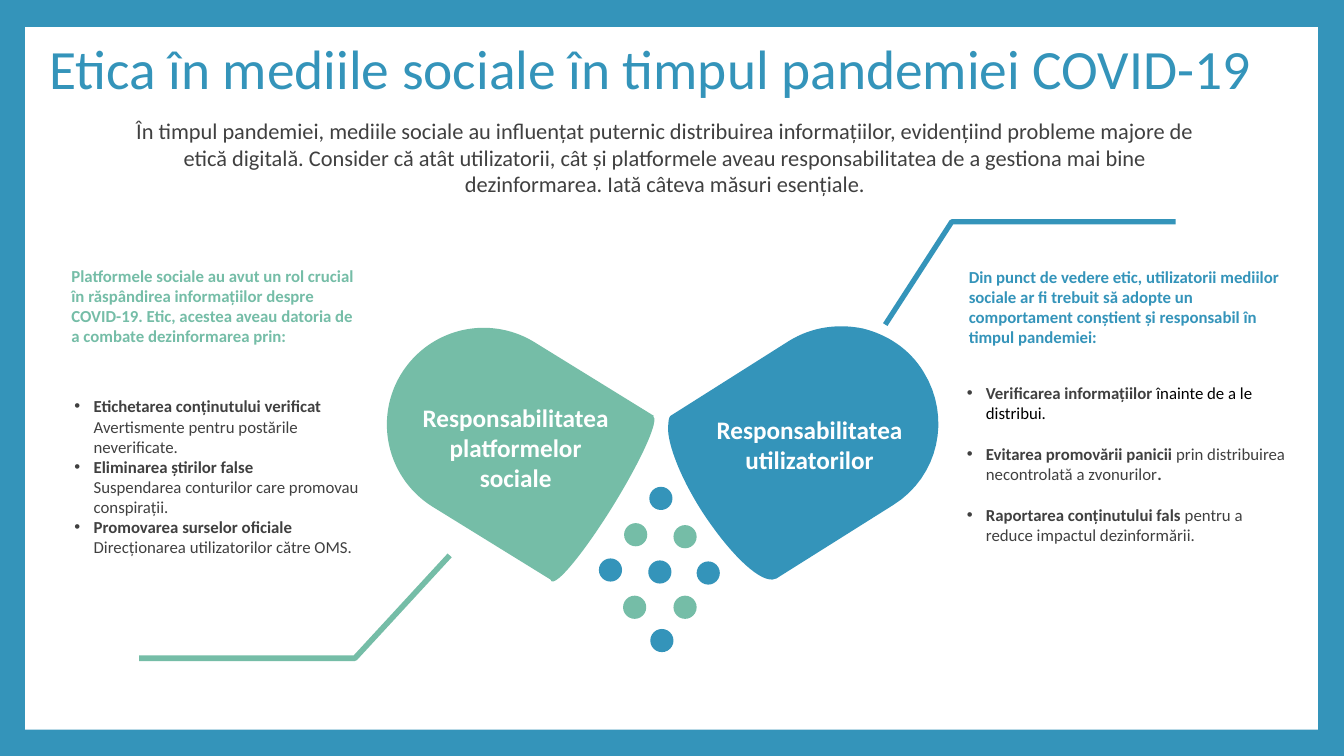
"""Build the slide on ethics in social media during the COVID-19 pandemic."""
from dataclasses import dataclass

from lxml.etree import SubElement
from pptx import Presentation
from pptx.dml.color import RGBColor
from pptx.enum.shapes import MSO_SHAPE as Shape
from pptx.enum.text import MSO_ANCHOR as Anchor, PP_ALIGN as Align
from pptx.oxml.ns import qn
from pptx.util import Inches, Pt


@dataclass(frozen=True)
class Theme:
    blue: str = "3494BA"
    green: str = "75BDA7"
    white: str = "FFFFFF"
    grey: str = "404040"
    black: str = "000000"
    font: str = "Calibri"
    title: float = 39.6
    intro: float = 16
    label: float = 18
    body: float = 12
    bullet_gap: float = 14.6


THEME = Theme()

TITLE = "Etica în mediile sociale în timpul pandemiei COVID-19"
INTRO = (
    "În timpul pandemiei, mediile sociale au influențat puternic distribuirea informațiilor, "
    "evidențiind probleme majore de etică digitală. Consider că atât utilizatorii, cât și "
    "platformele aveau responsabilitatea de a gestiona mai bine dezinformarea. "
    "Iată câteva măsuri esențiale."
)
HEADINGS = [
    ("Platformele sociale au avut un rol crucial în răspândirea informațiilor despre COVID-19. "
     "Etic, acestea aveau datoria de a combate dezinformarea prin:",
     (0.61, 2.36, 3.08, 1.35), THEME.green),
    ("Din punct de vedere etic, utilizatorii mediilor sociale ar fi trebuit să adopte un "
     "comportament conștient și responsabil în timpul pandemiei:",
     (9.51, 2.47, 3.41, 1.15), THEME.blue),
]
LABELS = [
    ("Responsabilitatea platformelor sociale", (4.15, 3.94, 1.93, 1.01)),
    ("Responsabilitatea utilizatorilor", (7.01, 4.06, 2.04, 0.71)),
]
BREAK = "\n"
PLATFORM_BULLETS = [
    [("Etichetarea conținutului verificat", True, THEME.grey), BREAK,
     ("Avertismente pentru postările neverificate.", False, THEME.grey)],
    [("Eliminarea știrilor false", True, THEME.grey), BREAK,
     ("Suspendarea conturilor care promovau conspirații.", False, THEME.grey)],
    [("Promovarea surselor oficiale", True, THEME.grey), BREAK,
     ("Direcționarea utilizatorilor către OMS.", False, THEME.grey)],
]
USER_BULLETS = [
    [("Verificarea informațiilor ", True, THEME.grey),
     ("înainte de a le distribui.", False, THEME.black)],
    [("Evitarea promovării panicii ", True, THEME.grey),
     ("prin distribuirea necontrolată a zvonurilor", False, THEME.grey),
     (".", True, THEME.grey)],
    [("Raportarea conținutului fals ", True, THEME.grey),
     ("pentru a reduce impactul dezinformării.", False, THEME.grey)],
]
LEADERS = [
    ([(4.46, 5.51), (3.52, 6.53), (1.38, 6.53)], THEME.green, 4),
    ([(8.78, 3.22), (9.44, 2.2), (11.66, 2.2)], THEME.blue, 3.75),
]
USER_CAPSULE = [
    [(8.56, 3.26)],
    [(8.8, 3.32), (9.02, 3.46), (9.16, 3.69)],
    [(9.44, 4.14), (9.31, 4.73), (8.86, 5.01)],
    [(7.7, 5.74)],
    [(7.66, 5.75)],
    [(7.51, 5.76), (7.22, 5.47), (6.96, 5.07)],
    [(6.73, 4.71), (6.6, 4.35), (6.63, 4.2)],
    [(6.63, 4.16), (6.64, 4.13), (6.66, 4.12)],
    [(7.83, 3.38)],
    [(8.06, 3.24), (8.32, 3.21), (8.56, 3.26)],
]
DOT_SIZE = 0.23
DOTS = {
    THEME.green: [(6.68, 5.21), (6.19, 5.19), (6.68, 5.91), (6.18, 5.91)],
    THEME.blue: [(5.94, 5.54), (6.91, 5.57), (6.43, 5.56), (6.44, 4.83), (6.45, 6.24)],
}


def rgb(color):
    return RGBColor.from_string(color)


def add_filled(page, kind, place, color, rotation=0):
    shape = page.shapes.add_shape(kind, *map(Inches, place))
    shape.shadow.inherit = False
    shape.fill.solid()
    shape.fill.fore_color.rgb = rgb(color)
    shape.line.fill.background()
    shape.rotation = rotation
    return shape


def add_outline(page, points, close):
    start, *rest = [(Inches(x), Inches(y)) for x, y in points]
    builder = page.shapes.build_freeform(*start)
    builder.add_line_segments(rest, close=close)
    shape = builder.convert_to_shape()
    shape.shadow.inherit = False
    return shape


def trace(segments, steps=16):
    points = []
    for segment in segments:
        if len(segment) == 1:
            points += segment
            continue
        corners = [points[-1], *segment]
        for step in range(1, steps + 1):
            t = step / steps
            weights = ((1 - t) ** 3, 3 * t * (1 - t) ** 2, 3 * t * t * (1 - t), t ** 3)
            points.append(tuple(sum(w * corner[axis] for w, corner in zip(weights, corners))
                                for axis in (0, 1)))
    return points


def add_box(page, place, anchor=Anchor.TOP, side_inset=0.1):
    frame = page.shapes.add_textbox(*map(Inches, place)).text_frame
    frame.word_wrap = True
    frame.vertical_anchor = anchor
    frame.margin_left = frame.margin_right = Inches(side_inset)
    return frame


def set_font(para, size, color=None, bold=None):
    para.font.name = THEME.font
    para.font.size = Pt(size)
    para.font.bold = bold
    if color:
        para.font.color.rgb = rgb(color)


def add_text(page, text, place, size, color, bold=False, align=Align.LEFT, **box_options):
    para = add_box(page, place, **box_options).paragraphs[0]
    para.text = text
    para.alignment = align
    set_font(para, size, color, bold)
    return para


def add_bullets(page, bullets, place, gap=0):
    frame = add_box(page, place)
    for index, spans in enumerate(bullets):
        para = frame.add_paragraph() if index else frame.paragraphs[0]
        props = para._p.get_or_add_pPr()
        props.set("marL", str(Inches(0.19)))
        props.set("indent", str(-Inches(0.19)))
        SubElement(props, qn("a:buFont"), typeface="Arial")
        SubElement(props, qn("a:buChar"), char="•")
        set_font(para, THEME.body)
        if index:
            para.space_before = Pt(gap)
        for item in spans:
            if item == BREAK:
                para.add_line_break()
                continue
            text, bold, color = item
            span = para.add_run()
            span.text = text
            span.font.bold = bold
            span.font.color.rgb = rgb(color)


def main():
    deck = Presentation()
    deck.slide_width, deck.slide_height = Inches(13.33), Inches(7.5)
    page = deck.slides.add_slide(deck.slide_layouts[6])
    page.background.fill.solid()
    page.background.fill.fore_color.rgb = rgb(THEME.blue)
    add_filled(page, Shape.RECTANGLE, (0.25, 0.27, 12.82, 6.97), THEME.white)

    title = add_text(page, TITLE, (0.39, 0.46, 12.79, 0.49), THEME.title, THEME.blue,
                     anchor=Anchor.MIDDLE)
    title.line_spacing = 0.9
    add_text(page, INTRO, (1.02, 1.11, 11.15, 0.91), THEME.intro, THEME.grey, align=Align.CENTER)

    for points, color, width in LEADERS:
        leader = add_outline(page, points, close=False)
        leader.fill.background()
        leader.line.color.rgb = rgb(color)
        leader.line.width = Pt(width)

    user_half = add_outline(page, trace(USER_CAPSULE), close=True)
    user_half.fill.solid()
    user_half.fill.fore_color.rgb = rgb(THEME.blue)
    user_half.line.fill.background()
    platform_half = add_filled(page, Shape.ROUND_2_SAME_RECTANGLE, (4.02, 3.15, 1.92, 2.35),
                               THEME.green, 301.7)
    platform_half.adjustments[0] = 0.5
    platform_half.adjustments[1] = 0
    add_filled(page, Shape.OVAL, (5.85, 3.99, 0.25, 1.92), THEME.green, 31.7)

    for text, place in LABELS:
        add_text(page, text, place, THEME.label, THEME.white, True, Align.CENTER, side_inset=0)
    for color, corners in DOTS.items():
        for left, top in corners:
            add_filled(page, Shape.OVAL, (left, top, DOT_SIZE, DOT_SIZE), color)
    for text, place, color in HEADINGS:
        add_text(page, text, place, THEME.body, color, True, anchor=Anchor.MIDDLE)
    add_bullets(page, PLATFORM_BULLETS, (0.64, 3.88, 3.08, 2.09))
    add_bullets(page, USER_BULLETS, (9.49, 3.75, 3.41, 2.59), THEME.bullet_gap)
    deck.save("out.pptx")


if __name__ == "__main__":
    main()
